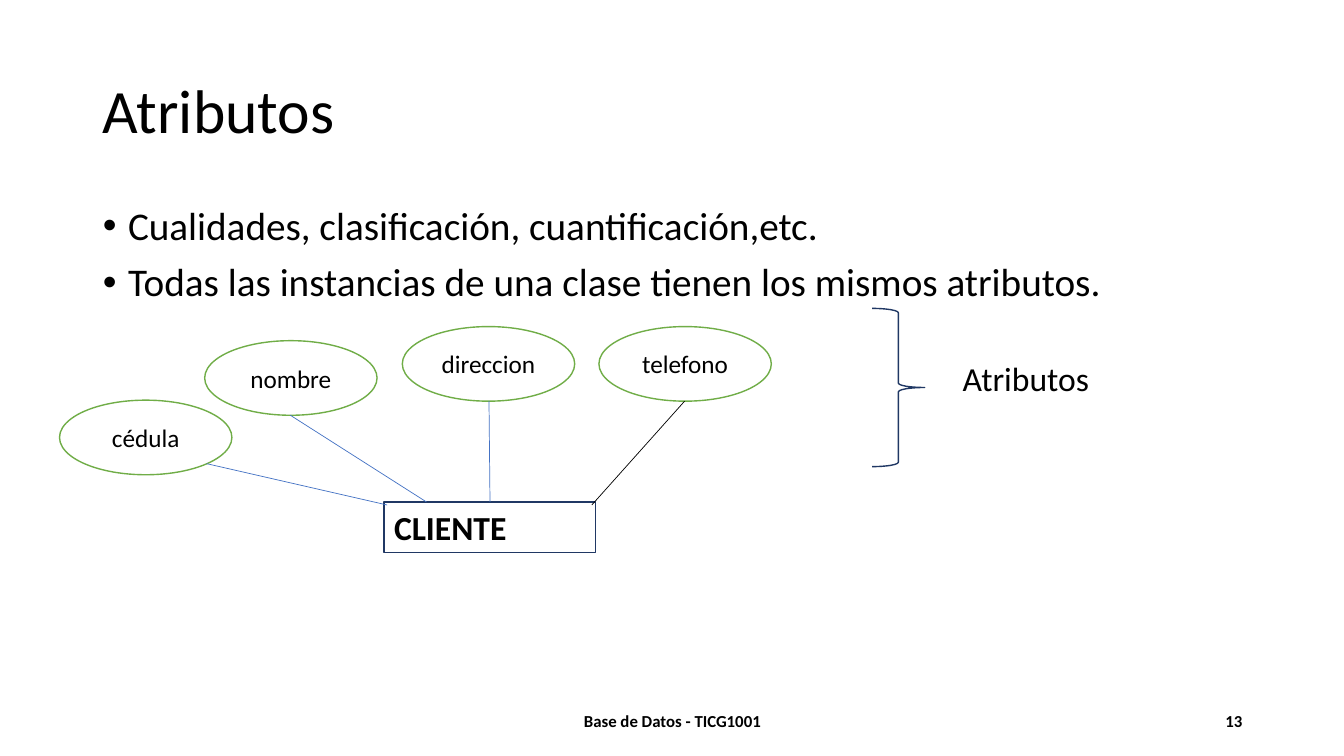
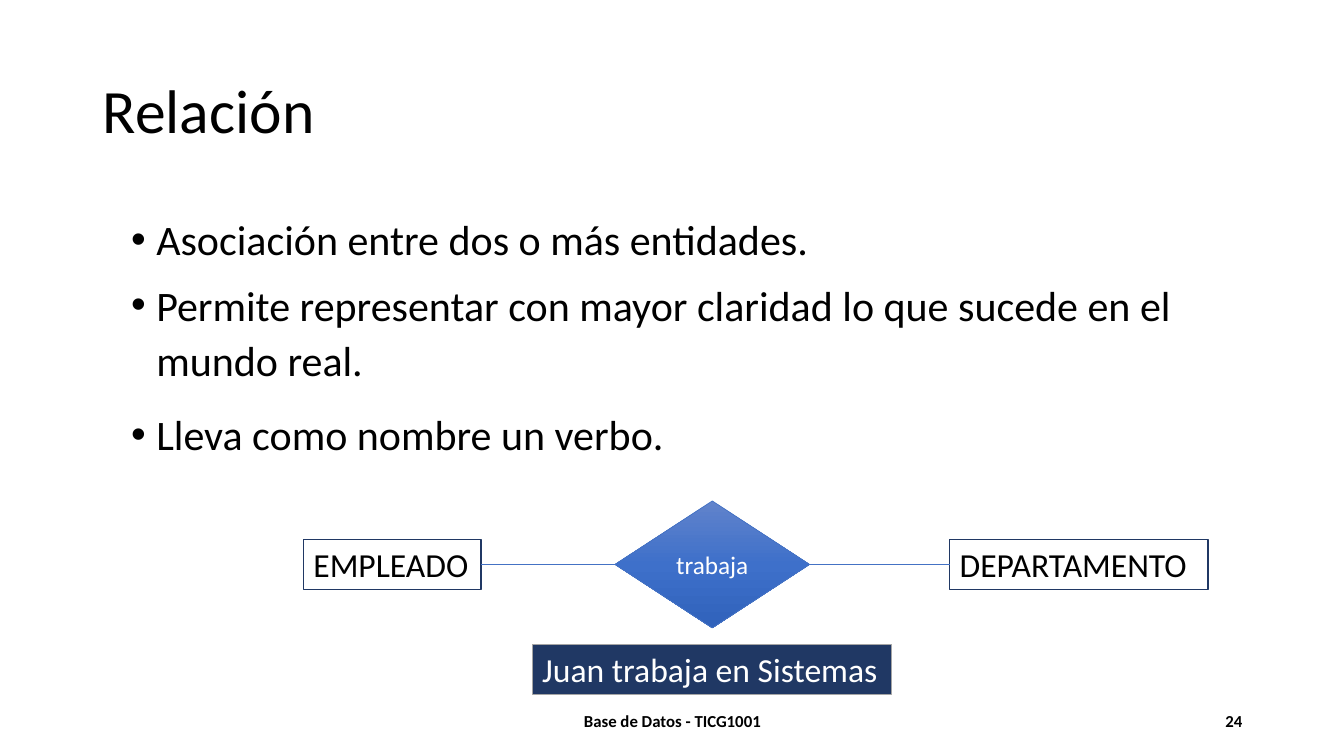
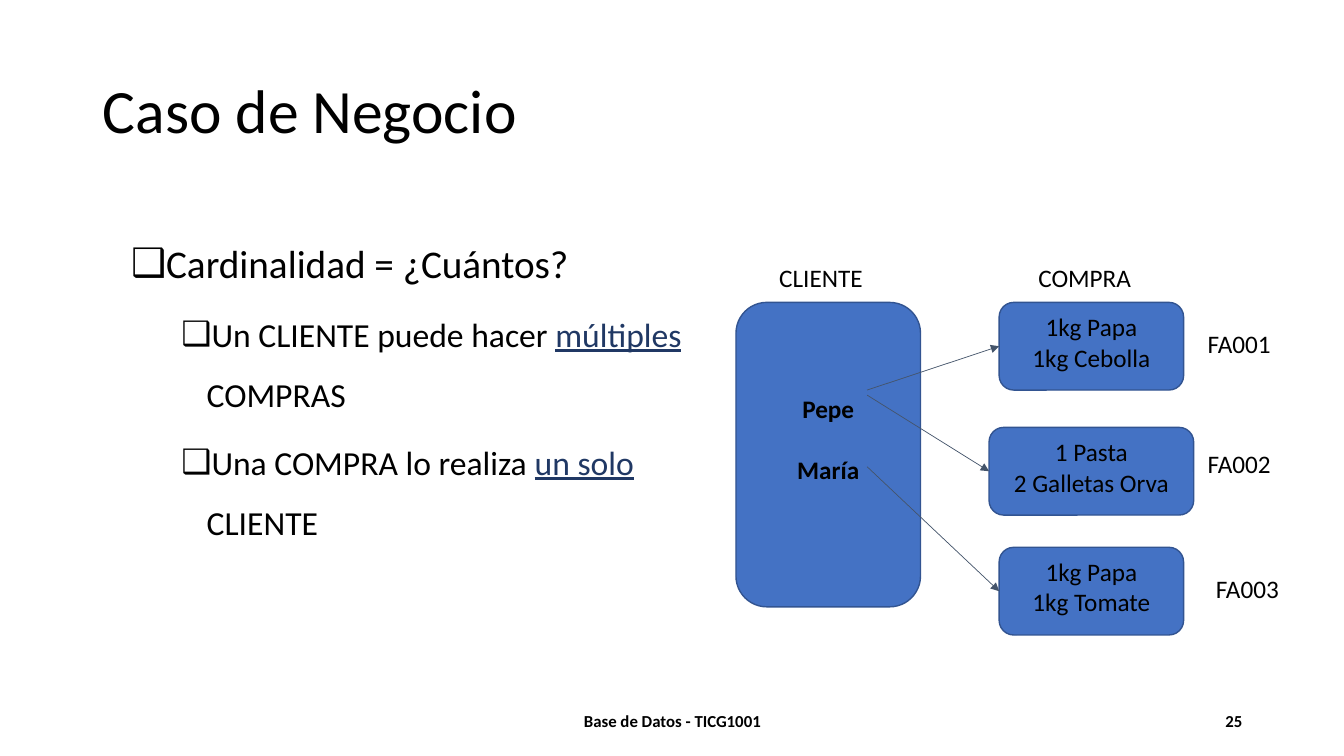
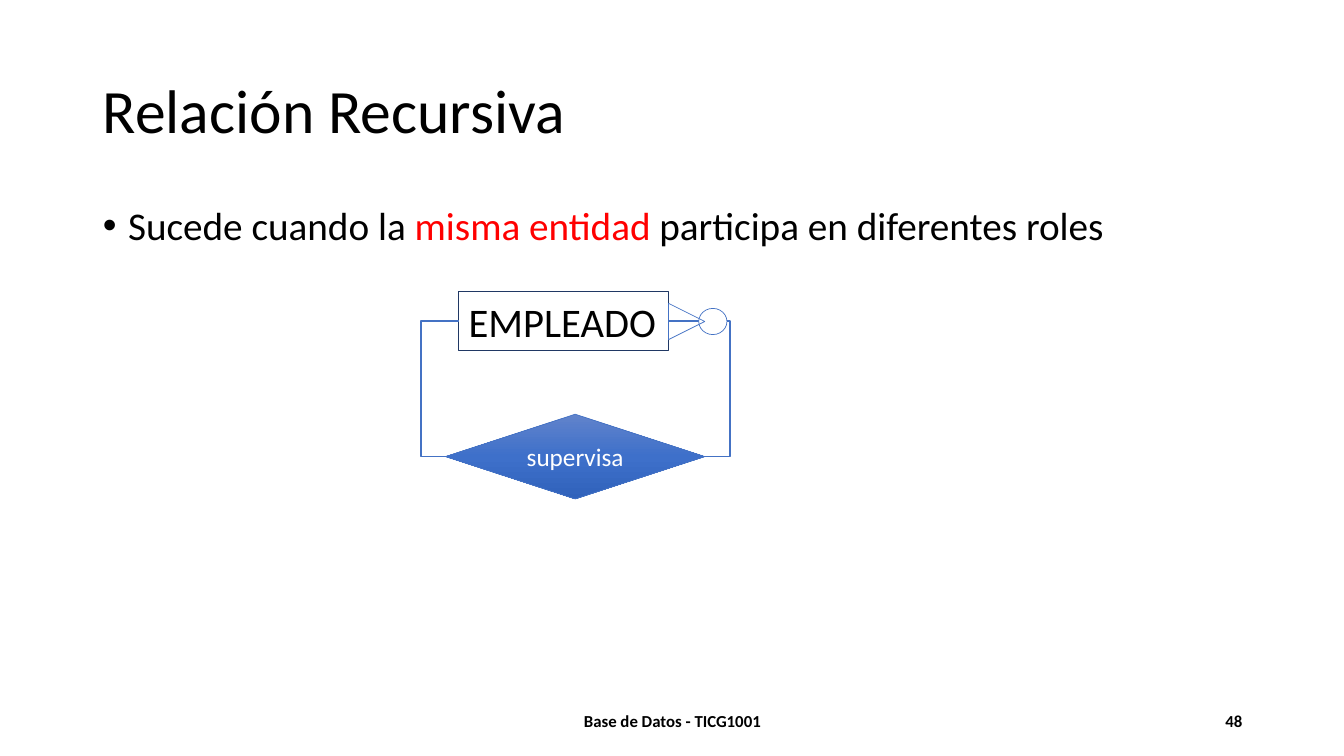
from copy import deepcopy
from dataclasses import dataclass

from pptx import Presentation
from pptx.dml.color import RGBColor
from pptx.enum.dml import MSO_LINE
from pptx.enum.shapes import MSO_CONNECTOR as CONNECTOR, MSO_SHAPE as SHAPE
from pptx.enum.text import MSO_ANCHOR as ANCHOR, MSO_AUTO_SIZE as AUTO_SIZE, PP_ALIGN as ALIGN
from pptx.oxml.ns import qn
from pptx.util import Pt
from lxml.etree import SubElement

PX = 9144  # 100 px to the inch


@dataclass(frozen=True)
class Theme:
    font: str = "Calibri"
    ink: str = "000000"
    paper: str = "FFFFFF"
    navy: str = "203864"
    blue: str = "4472C4"
    blue_edge: str = "325491"
    green: str = "70AD47"
    gray: str = "A5A5A5"
    slate: str = "44546A"
    red: str = "FF0000"
    gradient: tuple = ((0, "6183CB"), (0.5, "3E70CA"), (1, "3062BB"))
    title: int = 44
    body: int = 28
    big_body: int = 30
    entity: int = 24
    label: int = 18
    footer: int = 12


theme = Theme()
rgb = RGBColor.from_string


def add_box(slide, kind, area, text="", size=theme.label, color=theme.ink, bold=False,
            align=ALIGN.CENTER, anchor=ANCHOR.MIDDLE, fill=None, line=None, width=1.0):
    """Add a preset shape, or a text box when kind is None; each text line is a paragraph."""
    place = [value * PX for value in area]
    if kind is None:
        shape = slide.shapes.add_textbox(*place)
    else:
        shape = slide.shapes.add_shape(kind, *place)
        shape.shadow.inherit = False
        shape.line.color.rgb = rgb(line)
        shape.line.width = Pt(width)
        if fill is None:
            shape.fill.background()
        elif isinstance(fill, str):
            shape.fill.solid()
            shape.fill.fore_color.rgb = rgb(fill)
        else:
            shape.fill.gradient()
            shape.fill.gradient_angle = 270
            stop_list = shape.element.spPr.find(qn("a:gradFill")).find(qn("a:gsLst"))
            stop_list.insert(1, deepcopy(stop_list[0]))
            for stop, (position, stop_color) in zip(shape.fill.gradient_stops, fill):
                stop.position = position
                stop.color.rgb = rgb(stop_color)
    if text:
        frame = shape.text_frame
        frame.word_wrap = True
        frame.vertical_anchor = anchor
        if align == ALIGN.LEFT:
            frame.margin_right = 0
        frame.text = text
        for paragraph in frame.paragraphs:
            paragraph.alignment = align
            paragraph.font.name = theme.font
            paragraph.font.size = Pt(size)
            paragraph.font.bold = bold
            paragraph.font.color.rgb = rgb(color)
    return shape


def add_line(slide, start, end, color=theme.blue, width=1.0, kind=CONNECTOR.STRAIGHT):
    """Join two ends, each an (x, y) point or a (shape, side) pair."""
    connector = slide.shapes.add_connector(kind, 0, 0, 0, 0)
    if isinstance(start[0], int):
        connector.begin_x, connector.begin_y = start[0] * PX, start[1] * PX
    else:
        connector.begin_connect(*start)
    if isinstance(end[0], int):
        connector.end_x, connector.end_y = end[0] * PX, end[1] * PX
    else:
        connector.end_connect(*end)
    connector.line.color.rgb = rgb(color)
    connector.line.width = Pt(width)
    SubElement(connector.element.spPr, qn("a:effectLst"))
    return connector


presentation = Presentation()
presentation.slide_width = 1333 * PX
presentation.slide_height = 750 * PX

layout = presentation.slide_layouts[1]
for placeholder, area in zip(layout.placeholders, ((92, 40, 1150, 145), (92, 200, 1150, 476))):
    placeholder.left, placeholder.top, placeholder.width, placeholder.height = [
        value * PX for value in area]

# Title, number, body area, line spacing, bullet, and items: level, size, space before, runs.
# A run is a text, a colour and whether it is underlined.
wide_body = (92, 200, 1150, 476)
contents = [
    ("Atributos", 13, wide_body, 0.9, "•", [
        (0, theme.body, 0, [("Cualidades, clasificación, cuantificación,etc.", None, False)]),
        (0, theme.body, 10, [
            ("Todas las instancias de una clase tienen los mismos atributos.", None, False)]),
    ]),
    ("Relación", 24, (120, 202, 1122, 482), 1.1, "•", [
        (0, theme.big_body, 0, [("Asociación entre dos o más entidades.", None, False)]),
        (0, theme.big_body, 7.2, [
            ("Permite representar con mayor claridad lo que sucede en el mundo real.", None, False)]),
        (0, theme.big_body, 13.2, [("Lleva como nombre un verbo.", None, False)]),
    ]),
    ("Caso de Negocio", 25, (120, 209, 577, 440), 1.5, "❑", [
        (0, theme.body, 0, [("Cardinalidad = ¿Cuántos?", None, False)]),
        (1, theme.entity, 5, [("Un CLIENTE puede hacer ", None, False),
                              ("múltiples", theme.navy, True), (" COMPRAS", None, False)]),
        (1, theme.entity, 5, [("Una COMPRA lo realiza ", None, False),
                              ("un solo ", theme.navy, True), ("CLIENTE", None, False)]),
    ]),
    ("Relación Recursiva", 48, wide_body, 0.9, "•", [
        (0, theme.body, 0, [("Sucede cuando la ", None, False),
                            ("misma entidad ", theme.red, False),
                            ("participa en diferentes roles", None, False)]),
    ]),
]

slides = []
for title, number, area, line_spacing, bullet, items in contents:
    slide = presentation.slides.add_slide(layout)
    slides.append(slide)
    slide.shapes.title.text = title
    paragraph = slide.shapes.title.text_frame.paragraphs[0]
    paragraph.alignment = ALIGN.LEFT
    paragraph.line_spacing = 0.9
    paragraph.font.name = theme.font
    paragraph.font.size = Pt(theme.title)
    paragraph.font.color.rgb = rgb(theme.ink)

    body = slide.placeholders[1]
    body.left, body.top, body.width, body.height = [value * PX for value in area]
    frame = body.text_frame
    frame.auto_size = AUTO_SIZE.NONE
    for index, (level, size, space_before, runs) in enumerate(items):
        paragraph = frame.add_paragraph() if index else frame.paragraphs[0]
        paragraph.level = level
        paragraph.line_spacing = line_spacing
        paragraph.space_before = Pt(space_before)
        properties = paragraph._p.get_or_add_pPr()
        properties.set("marL", str((25 + 50 * level) * PX))
        properties.set("indent", str(-25 * PX))
        SubElement(properties, qn("a:buChar")).set("char", bullet)
        paragraph.font.name = theme.font
        paragraph.font.size = Pt(size)
        paragraph.font.color.rgb = rgb(theme.ink)
        for text, color, underline in runs:
            run = paragraph.add_run()
            run.text = text
            if color:
                run.font.color.rgb = rgb(color)
            if underline:
                run.font.underline = True

    add_box(slide, None, (442, 695, 450, 40), "Base de Datos - TICG1001", theme.footer, bold=True)
    add_box(slide, None, (942, 695, 300, 40), str(number), theme.footer, bold=True,
            align=ALIGN.RIGHT)

attributes_slide, relation_slide, business_slide, recursive_slide = slides
entity_style = dict(align=ALIGN.LEFT, fill=theme.paper, line=theme.navy)
relation_style = dict(color=theme.paper, fill=theme.gradient, line=theme.blue, width=0.5)

# Atributos
add_box(attributes_slide, SHAPE.RIGHT_BRACE, (865, 306, 52, 157), line=theme.navy)
add_box(attributes_slide, None, (945, 350, 147, 50), "Atributos", theme.entity, align=ALIGN.LEFT)
client = add_box(attributes_slide, SHAPE.RECTANGLE, (381, 498, 210, 50), "CLIENTE",
                 theme.entity, bold=True, **entity_style)
for name, left, top, start, end, color in (
        ("nombre", 203, 338, (288, 412), (423, 498), theme.blue),
        ("direccion", 399, 324, (485, 398), (client, 0), theme.blue),
        ("telefono", 594, 324, (679, 398), (587, 501), theme.ink),
        ("cédula", 59, 397, (205, 460), (384, 501), theme.blue)):
    add_box(attributes_slide, SHAPE.OVAL, (left, top, 171, 74), name,
            fill=theme.paper, line=theme.green)
    add_line(attributes_slide, start, end, color, 0.5)

# Relación
employee = add_box(relation_slide, SHAPE.RECTANGLE, (301, 535, 176, 50), "EMPLEADO",
                   theme.entity, **entity_style)
department = add_box(relation_slide, SHAPE.RECTANGLE, (942, 535, 256, 50), "DEPARTAMENTO",
                     theme.entity, **entity_style)
works = add_box(relation_slide, SHAPE.DIAMOND, (610, 497, 193, 126), "trabaja", **relation_style)
add_line(relation_slide, (employee, 3), (works, 1))
add_line(relation_slide, (works, 3), (department, 1))
add_box(relation_slide, SHAPE.RECTANGLE, (528, 639, 356, 50), "Juan trabaja en Sistemas",
        theme.entity, theme.paper, align=ALIGN.LEFT, fill=theme.navy, line=theme.gray, width=0.5)

# Caso de Negocio
clients = add_box(business_slide, SHAPE.ROUNDED_RECTANGLE, (730, 300, 183, 302), "Pepe\nMaría",
                  bold=True, fill=theme.blue, line=theme.blue_edge)
clients.text_frame.margin_bottom = 66 * PX
for paragraph in clients.text_frame.paragraphs:
    paragraph.line_spacing = 2.0
for text, left, top, width in (("CLIENTE", 763, 255, 104), ("COMPRA", 1020, 255, 113),
                               ("FA001", 1188, 321, 85), ("FA002", 1188, 440, 85),
                               ("FA003", 1196, 564, 85)):
    add_box(business_slide, None, (left, top, width, 40), text, align=ALIGN.LEFT)
for text, left, top, width, start_y in (("1kg Papa\n1kg Cebolla", 991, 300, 183, 387),
                                        ("1 Pasta\n2 Galletas Orva", 981, 424, 203, 392),
                                        ("1kg Papa\n1kg Tomate", 991, 543, 183, 463)):
    purchase = add_box(business_slide, SHAPE.ROUNDED_RECTANGLE, (left, top, width, 87), text,
                       anchor=ANCHOR.TOP, fill=theme.blue, line=theme.blue_edge)
    arrow = add_line(business_slide, (860, start_y), (purchase, 1), theme.slate, 0.5)
    SubElement(arrow.line._get_or_add_ln(), qn("a:tailEnd")).set("type", "triangle")

# Relación Recursiva
employee = add_box(recursive_slide, SHAPE.RECTANGLE, (455, 289, 208, 59), "EMPLEADO",
                   29, **entity_style)
supervises = add_box(recursive_slide, SHAPE.DIAMOND, (442, 411, 257, 84), "supervisa",
                     **relation_style)
for side, bend in ((3, 169400), (1, 287300)):
    loop = add_line(recursive_slide, (employee, side), (supervises, side), kind=CONNECTOR.ELBOW)
    guides = loop.element.spPr.find(qn("a:prstGeom")).find(qn("a:avLst"))
    guide = SubElement(guides, qn("a:gd"))
    guide.set("name", "adj1")
    guide.set("fmla", f"val {bend}")
add_box(recursive_slide, SHAPE.OVAL, (693, 306, 28, 26),
        fill=theme.paper, line=theme.blue, width=0.5)
crow_foot = add_box(recursive_slide, SHAPE.ISOSCELES_TRIANGLE, (663, 301, 36, 36),
                    line=theme.blue, width=0.5)
crow_foot.rotation = 90

presentation.save("out.pptx")
